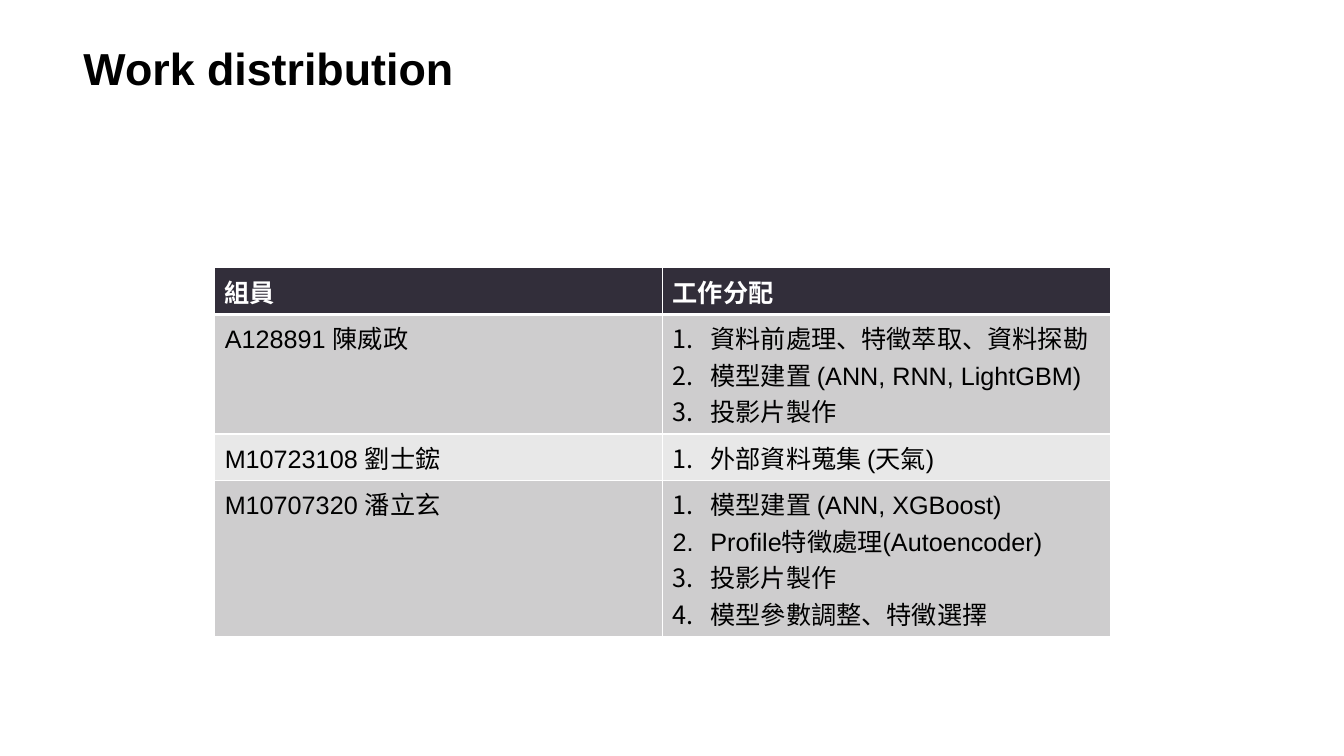
import pptx
import pptx.dml.color
import pptx.enum.text
import pptx.oxml
import pptx.oxml.ns
import pptx.util
from lxml import etree

HEADERS = ["組員", "工作分配"]
MEMBERS = [
    ("A128891 陳威政", ["資料前處理、特徵萃取、資料探勘", "模型建置 (ANN, RNN, LightGBM)", "投影片製作"]),
    ("M10723108 劉士鋐", ["外部資料蒐集 (天氣)"]),
    ("M10707320 潘立玄", ["模型建置 (ANN, XGBoost)", "Profile特徵處理(Autoencoder)", "投影片製作", "模型參數調整、特徵選擇"]),
]


def color(value):
    """Turn a hex string into a colour."""
    return pptx.dml.color.RGBColor.from_string(value)


class SlideBuilder:
    """Hold the style and the current slide."""

    font = "Arial"
    black, white, dark = "000000", "FFFFFF", "322E3A"
    bands = ["CECDCE", "E8E8E8"]

    def __init__(self, presentation):
        """Add a title-only slide."""
        self.slide = presentation.slides.add_slide(presentation.slide_layouts[5])

    def format_runs(self, paragraph, size, hex_color, bold):
        """Format every run of a paragraph."""
        for run in paragraph.runs:
            run.font.name = self.font
            run.font.size = pptx.util.Pt(size)
            run.font.bold = bold
            run.font.color.rgb = color(hex_color)

    def title(self, text, left, top, width, height):
        """Place and format the title."""
        shape = self.slide.shapes.title
        shape.left, shape.top = pptx.util.Cm(left), pptx.util.Cm(top)
        shape.width, shape.height = pptx.util.Cm(width), pptx.util.Cm(height)
        text_frame = shape.text_frame
        text_frame.text = text
        text_frame.vertical_anchor = pptx.enum.text.MSO_ANCHOR.MIDDLE
        paragraph = text_frame.paragraphs[0]
        paragraph.alignment = pptx.enum.text.PP_ALIGN.LEFT
        paragraph.line_spacing = 0.9
        self.format_runs(paragraph, 32, self.black, True)

    def number(self, paragraph):
        """Give a paragraph an automatic number and a hanging indent."""
        indent = pptx.util.Cm(0.95)
        properties = paragraph._p.get_or_add_pPr()
        properties.set("marL", str(indent))
        properties.set("indent", str(-indent))
        bullet = etree.SubElement(properties, pptx.oxml.ns.qn("a:buAutoNum"))
        bullet.set("type", "arabicPeriod")

    def borders(self, cell, top, bottom):
        """Draw white cell borders with the given top and bottom widths."""
        properties = cell._tc.get_or_add_tcPr()
        for index, (side, width) in enumerate([("L", 1), ("R", 1), ("T", top), ("B", bottom)]):
            line = pptx.oxml.parse_xml(
                f'<a:ln{side} {pptx.oxml.ns.nsdecls("a")} w="{pptx.util.Pt(width)}">'
                f'<a:solidFill><a:srgbClr val="{self.white}"/></a:solidFill></a:ln{side}>')
            properties.insert(index, line)

    def cell(self, cell, lines, fill, hex_color, bold=False, numbered=False):
        """Fill a cell with lines of text."""
        cell.fill.solid()
        cell.fill.fore_color.rgb = color(fill)
        cell.text_frame.text = "\n".join(lines)
        for paragraph in cell.text_frame.paragraphs:
            self.format_runs(paragraph, 18, hex_color, bold)
            if numbered:
                self.number(paragraph)

    def table(self, headers, members, left, top, column_width, row_height):
        """Add the table of members and their tasks."""
        row_count, column_count = len(members) + 1, len(headers)
        table = self.slide.shapes.add_table(
            row_count, column_count, pptx.util.Cm(left), pptx.util.Cm(top),
            pptx.util.Cm(column_width * column_count), pptx.util.Cm(row_height * row_count)).table
        for column in table.columns:
            column.width = pptx.util.Cm(column_width)
        for row in table.rows:
            row.height = pptx.util.Cm(row_height)
        for index, header in enumerate(headers):
            self.cell(table.cell(0, index), [header], self.dark, self.white, bold=True)
        for index, (member, tasks) in enumerate(members):
            fill = self.bands[index % 2]
            self.cell(table.cell(index + 1, 0), [member], fill, self.black)
            self.cell(table.cell(index + 1, 1), tasks, fill, self.black, numbered=True)
        for index, row in enumerate(table.rows):
            for cell in row.cells:
                self.borders(cell, 3 if index == 1 else 1, 3 if index == 0 else 1)


def main():
    """Build and save the slide."""
    presentation = pptx.Presentation()
    presentation.slide_width = pptx.util.Cm(33.87)
    presentation.slide_height = pptx.util.Cm(19.05)
    builder = SlideBuilder(presentation)
    builder.title("Work distribution", 1.85, 0.38, 30.15, 2.84)
    builder.table(HEADERS, MEMBERS, 5.41, 6.75, 11.29, 1.03)
    presentation.save("out.pptx")


if __name__ == "__main__":
    main()
